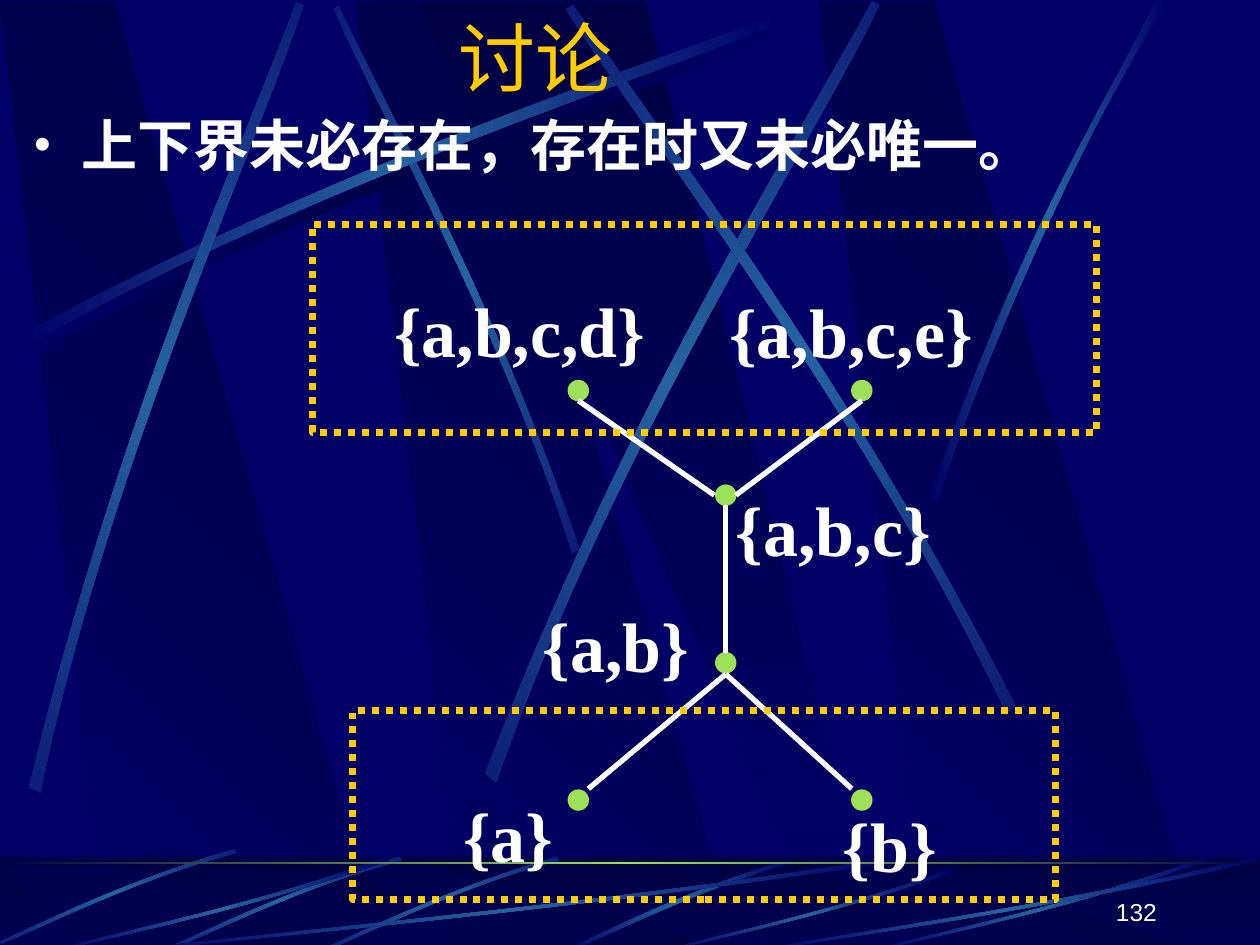
import math

from lxml import etree
from pptx import Presentation
from pptx import util as u
from pptx.dml.color import RGBColor
from pptx.enum import dml, shapes, text
from pptx.oxml import ns

NAVY = RGBColor(0x00, 0x00, 0x66)
DARK = RGBColor(0x00, 0x00, 0x44)
BLUE = RGBColor(0x26, 0x63, 0xA0)
GREEN = RGBColor(0x9C, 0xE1, 0x57)
GOLD = RGBColor(0xFF, 0xCC, 0x00)
WHITE = RGBColor(0xFF, 0xFF, 0xFF)

SHADE = (NAVY, DARK, NAVY)
GLOW = (NAVY, BLUE, NAVY)

LONG_RAY = [(0.14, 2.67), (2.78, 1.25), (5.18, 0.51), (6.2, 0.1),
            (6.23, 0.16), (5.22, 0.61), (2.48, 1.43), (0.17, 2.77)]
SHORT_RAY = [(4.6, 4.36), (3.91, 2.34), (3.02, 0.77), (2.69, 0.05),
             (2.65, 0.07), (2.95, 0.79), (3.98, 2.58), (4.54, 4.39)]
TILTED_RAYS = [
    ([(0.23, 6.25), (0.93, 3.34), (1.97, 1.05), (2.35, 0.02),
      (2.41, 0.04), (2.07, 1.09), (0.86, 3.68), (0.32, 6.29)], 311.7),
    ([(3.85, 6.14), (4.98, 3.2), (6.38, 1.02), (6.92, 0.01),
      (6.98, 0.04), (6.49, 1.08), (4.86, 3.55), (3.94, 6.21)], 321.6),
    ([(8.06, 5.6), (6.7, 2.93), (5.16, 0.95), (4.55, 0.04),
      (4.49, 0.07), (5.07, 1.01), (6.85, 3.25), (7.99, 5.67)], 34.7),
    ([(7.38, 3.94), (8.14, 1.73), (8.88, 0.66), (9.17, 0),
      (9.27, 0), (8.36, 1.45), (7.69, 3.22), (7.44, 3.97)], 0),
]
FLOOR_RAY = [(6.27, 6.82), (5.37, 7.09), (4.77, 7.42), (4.48, 7.54),
             (4.53, 7.55), (4.9, 7.38), (5.71, 7), (6.28, 6.85)]
BLADE = [(4.42, 6.8), (3.55, 7.05), (2.87, 7.4), (2.56, 7.53),
         (2.57, 7.55), (2.88, 7.43), (3.65, 7.03), (4.44, 6.83)]
SWEEP = [(1, 0.04), (0.57, 0.57), (0.17, 0.85), (0.01, 1),
         (0, 0.99), (0.17, 0.81), (0.61, 0.51), (0.99, 0)]
SWEEPS = [(1, 6.8, 6.17, 0.75), (0.42, 6.8, 2.67, 0.75), (5.27, 6.89, 2.31, 0.66),
          (6.92, 6.8, 2.67, 0.75), (6, 6.8, 4, 0.75)]

LEFT, MIDDLE, RIGHT = 4.59, 5.76, 6.84
DOT = 0.17
DOTS = [(MIDDLE, 3.93), (MIDDLE, 5.26), (LEFT, 3.1), (RIGHT, 3.1),
        (LEFT, 6.35), (RIGHT, 6.35)]
EDGES = [((MIDDLE, 4.01), (MIDDLE, 5.18)), ((LEFT, 3.18), (5.67, 3.93)),
         ((RIGHT, 3.18), (5.84, 3.93)), ((MIDDLE, 5.35), (4.67, 6.26)),
         ((MIDDLE, 5.35), (6.76, 6.26))]
LABELS = [("{a}", 3.58, 6.11, 1.01), ("{b}", 6.59, 6.19, 1.05),
          ("{a,b}", 4.21, 4.6, 1.46), ("{a,b,c}", 5.74, 3.68, 1.85),
          ("{a,b,c,d}", 3.03, 2.1, 2.3), ("{a,b,c,e}", 5.69, 2.11, 2.23)]
FRAMES = [(2.8, 5.64, 5.58, 1.5), (2.48, 1.78, 6.22, 1.65)]


def shift(points, dx, dy):
    return [(x + dx, y + dy) for x, y in points]


def turn(points, angle):
    cos, sin = math.cos(math.radians(angle)), math.sin(math.radians(angle))
    return [(x * cos - y * sin, x * sin + y * cos) for x, y in points]


def unturn(points, angle):
    flat = turn(points, -angle)
    center = tuple((min(values) + max(values)) / 2 for values in zip(*flat))
    pivot = turn([center], angle)[0]
    return shift(flat, pivot[0] - center[0], pivot[1] - center[1])


def write(para, words, size, font, color, bold=False, align=None, spacing=None):
    para.alignment = align
    para.line_spacing = spacing
    para.space_before = u.Pt(0)
    span = para.add_run()
    span.text = words
    span.font.size = u.Pt(size)
    span.font.name = font
    span.font.bold = bold
    span.font.color.rgb = color


class Slide:
    def __init__(self, deck):
        self.page = deck.slides.add_slide(deck.slide_layouts[1])
        self.page.background.fill.solid()
        self.page.background.fill.fore_color.rgb = NAVY
        self.shapes = self.page.shapes

    def gradient(self, shape, colors, angle):
        shape.fill.gradient()
        shape.fill.gradient_angle = -angle % 360
        stops = shape._element.spPr.find(".//" + ns.qn("a:gsLst"))
        stops.clear()
        for i, color in enumerate(colors):
            stop = etree.SubElement(stops, ns.qn("a:gs"), pos=str(100000 * i // (len(colors) - 1)))
            etree.SubElement(stop, ns.qn("a:srgbClr"), val=str(color))

    def outline(self, points, colors, angle):
        corners = [(u.Inches(x), u.Inches(y)) for x, y in points]
        builder = self.shapes.build_freeform(*corners[0])
        builder.add_line_segments(corners[1:], close=True)
        shape = builder.convert_to_shape()
        shape.shadow.inherit = False
        shape.line.fill.background()
        self.gradient(shape, colors, angle)
        return shape

    def ray(self, points, colors=GLOW, angle=0):
        shape = self.outline(unturn(points, angle), colors, 0)
        shape.rotation = angle
        lines = shape._element.spPr.findall(".//" + ns.qn("a:lnTo"))
        for first, *others in (lines[:3], lines[4:]):
            first.tag = ns.qn("a:cubicBezTo")
            for line in others:
                first.append(line[0])
                line.getparent().remove(line)

    def facets(self, top, bottom):
        for x in (2.83, 0, 6.5):
            self.outline([(x + 0.86, bottom), (x + 3.02, bottom), (x + 0.91, top), (x, top)],
                         (NAVY, DARK), 315)
        self.outline([(3.33, top), (6.58, bottom), (6.94, bottom), (5.13, top)],
                     (DARK, NAVY), 90)

    def shape(self, kind, left, top, width, height, color=None):
        shape = self.shapes.add_shape(kind, *map(u.Inches, (left, top, width, height)))
        shape.shadow.inherit = False
        shape.line.fill.background()
        if color is None:
            shape.fill.background()
        else:
            shape.fill.solid()
            shape.fill.fore_color.rgb = color
        return shape

    def bar(self, *place, color=None):
        return self.shape(shapes.MSO_SHAPE.RECTANGLE, *place, color=color)

    def frame(self, *place):
        line = self.bar(*place).line
        line.color.rgb = GOLD
        line.width = u.Pt(4)
        line.dash_style = dml.MSO_LINE.ROUND_DOT

    def dot(self, x, y):
        self.shape(shapes.MSO_SHAPE.OVAL, x - DOT / 2, y - DOT / 2, DOT, DOT, GREEN)

    def edge(self, start, end):
        line = self.shapes.add_connector(shapes.MSO_CONNECTOR.STRAIGHT,
                                         *map(u.Inches, (*start, *end)))
        line.line.color.rgb = WHITE
        line.line.width = u.Pt(3)
        etree.SubElement(line._element.spPr, ns.qn("a:effectLst"))

    def label(self, words, left, top, width):
        box = self.shapes.add_textbox(*map(u.Inches, (left, top, width, 0.9)))
        box.text_frame.word_wrap = False
        box.text_frame.auto_size = text.MSO_AUTO_SIZE.SHAPE_TO_FIT_TEXT
        write(box.text_frame.paragraphs[0], words, 40, "Times New Roman", WHITE,
              bold=True, spacing=1.2)

    def number(self, words):
        box = self.shapes.add_textbox(*map(u.Inches, (7.2, 6.9, 2.08, 0.5)))
        box.text_frame.word_wrap = True
        box.text_frame.vertical_anchor = text.MSO_ANCHOR.BOTTOM
        write(box.text_frame.paragraphs[0], words, 14, "Arial", WHITE, align=text.PP_ALIGN.RIGHT)

    def placeholder(self, index, left, top, width, height):
        box = self.page.placeholders[index]
        box.left, box.top, box.width, box.height = map(u.Inches, (left, top, width, height))
        box.text_frame.auto_size = text.MSO_AUTO_SIZE.NONE
        self.shapes._spTree.append(box._element)
        return box.text_frame

    def title(self, words):
        frame = self.placeholder(0, 0, 0, 8.5, 0.9)
        frame.vertical_anchor = text.MSO_ANCHOR.MIDDLE
        write(frame.paragraphs[0], words, 44, "Montserrat", GOLD, align=text.PP_ALIGN.CENTER)

    def body(self, words):
        para = self.placeholder(1, 0.17, 0.83, 9.67, 5.83).paragraphs[0]
        props = para._p.get_or_add_pPr()
        props.set("marL", str(u.Inches(0.38)))
        props.set("indent", str(u.Inches(-0.38)))
        etree.SubElement(props, ns.qn("a:buSzPct"), val="85000")
        etree.SubElement(props, ns.qn("a:buChar"), char="•")
        write(para, words, 32, "Arial", WHITE, bold=True)

    def backdrop(self):
        self.facets(0.01, 7.52)
        self.ray(shift(LONG_RAY, 0.06, 0.08), SHADE)
        self.ray(SHORT_RAY, angle=45)
        self.ray(LONG_RAY)
        for points, angle in TILTED_RAYS:
            self.ray(points, angle=angle)
        self.gradient(self.bar(0, 6.8, 10, 0.75), (DARK, NAVY), 90)
        self.facets(6.88, 7.55)
        veil = self.bar(0, 6.8, 10, 0.75, color=DARK)
        tint = veil._element.spPr.find(".//" + ns.qn("a:srgbClr"))
        etree.SubElement(tint, ns.qn("a:alpha"), val="50000")
        self.ray(FLOOR_RAY)
        for dx, dy in ((0, 0), (-1.25, 0), (-2.56, -0.06)):
            self.ray(shift(BLADE, dx, dy), angle=315)
        for left, top, width, height in SWEEPS:
            self.ray([(left + x * width, top + y * height) for x, y in SWEEP])
        self.gradient(self.bar(0, 6.84, 10, 0.02), (DARK, GREEN, DARK), 0)


def main():
    deck = Presentation()
    deck.slide_width, deck.slide_height = u.Inches(10), u.Inches(7.5)
    slide = Slide(deck)
    slide.backdrop()
    slide.title("讨论")
    slide.body("上下界未必存在，存在时又未必唯一。")
    for center in DOTS:
        slide.dot(*center)
    for start, end in EDGES:
        slide.edge(start, end)
    for label in LABELS:
        slide.label(*label)
    for place in FRAMES:
        slide.frame(*place)
    slide.number("132")
    deck.save("out.pptx")


if __name__ == "__main__":
    main()
